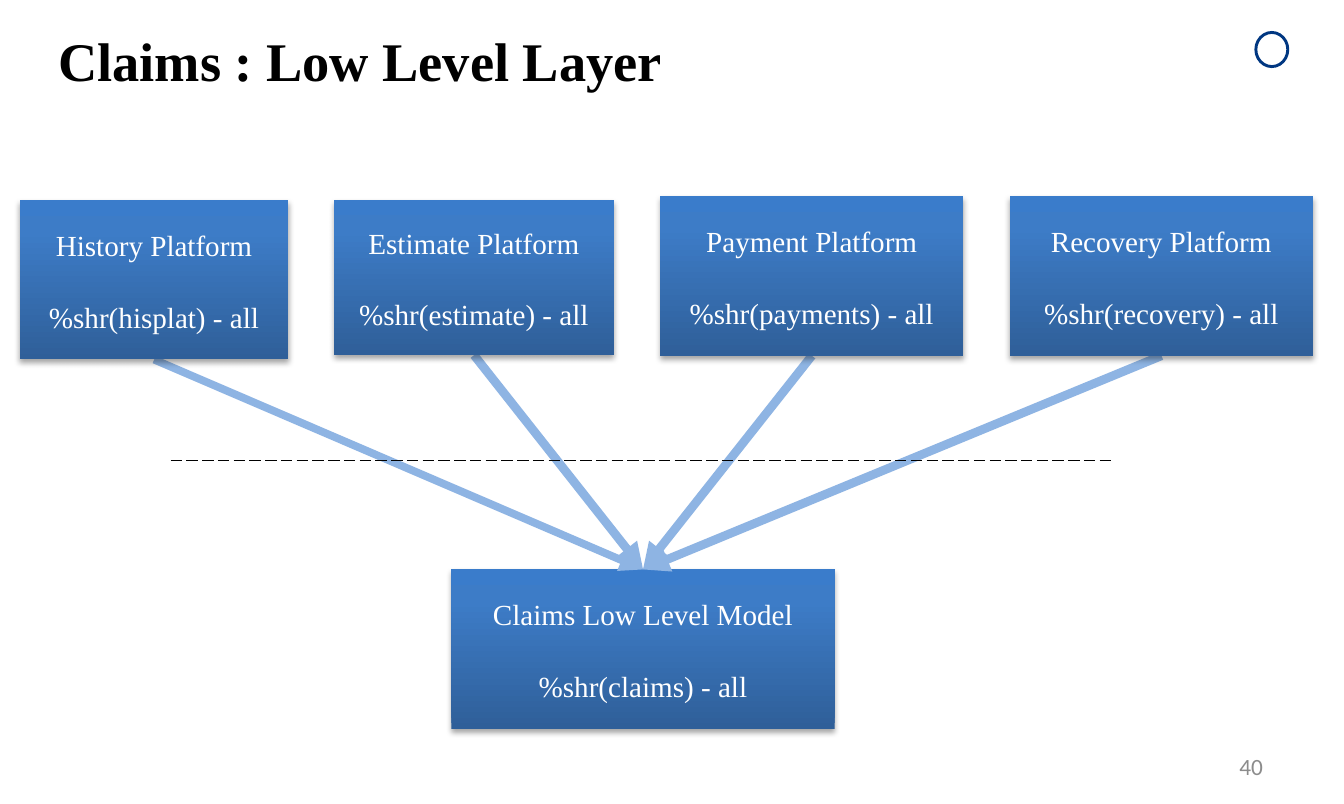
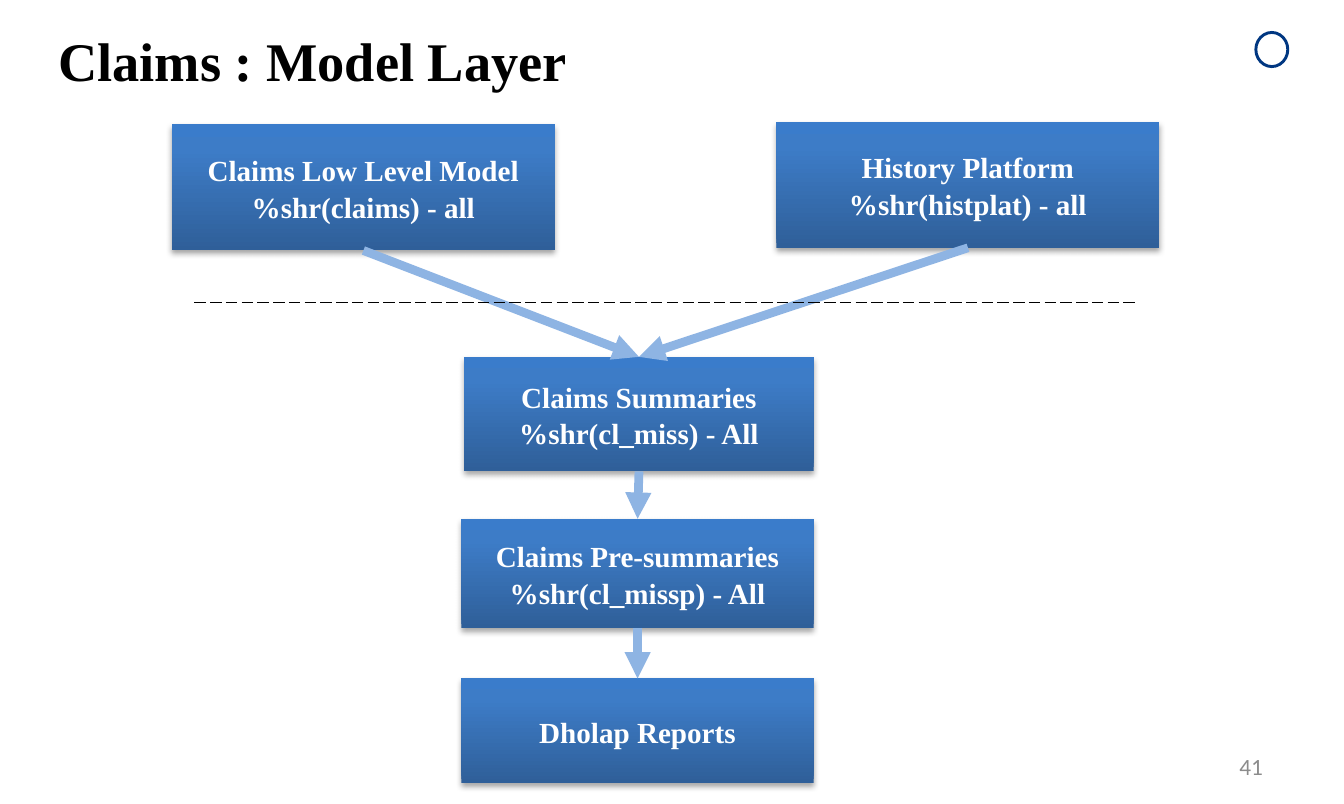
from lxml import etree
from pptx import Presentation
from pptx.dml.color import RGBColor
from pptx.enum import dml, shapes, text
from pptx.oxml import ns, parse_xml
from pptx.util import Cm, Pt

COLORS = {
    "title": "000000",
    "number": "8C8C8C",
    "emblem": "003781",
    "label": "FFFFFF",
    "arrow": "8EB4E3",
    "divider": "000000",
    "shadow": "000000",
    "box_bottom": "2F5F99",
    "box_middle": "3D7CC7",
    "box_top": "3A7CCB",
}
SERIF, SANS = "Times New Roman", "Calibri"
BOX_STOPS = [(0, "box_bottom"), (80, "box_middle"), (100, "box_top")]
TOP_SITE, BOTTOM_SITE = 0, 2
DIVIDER_LENGTH = 17.15

SLIDES = [
    {
        "title": "Claims : Low Level Layer",
        "number": "40",
        "bold": False,
        "line_gap": 18,
        "boxes": {
            "model": (["Claims Low Level Model", "%shr(claims) - all"], (8.2, 10.34, 6.96, 2.9)),
            "history": (["History Platform", "%shr(hisplat) - all"], (0.36, 3.63, 4.88, 2.9)),
            "estimate": (["Estimate Platform", "%shr(estimate) - all"], (6.07, 3.63, 5.08, 2.82)),
            "payment": (["Payment Platform", "%shr(payments) - all"], (11.99, 3.56, 5.51, 2.9)),
            "recovery": (["Recovery Platform", "%shr(recovery) - all"], (18.34, 3.56, 5.51, 2.9)),
        },
        "arrows": [
            ("history", "model", 4),
            ("estimate", "model", 4.5),
            ("payment", "model", 4.5),
            ("recovery", "model", 4.5),
        ],
        "sources_in_front": True,
        "divider": (3.1, 8.36),
    },
    {
        "title": "Claims : Model Layer",
        "number": "41",
        "bold": True,
        "line_gap": 0,
        "boxes": {
            "model": (["Claims Low Level Model", "%shr(claims) - all"], (3.12, 2.26, 6.96, 2.29)),
            "history": (["History Platform", "%shr(histplat) - all"], (14.1, 2.21, 6.96, 2.29)),
            "summaries": (["Claims Summaries", "%shr(cl_miss) - All"], (8.43, 6.48, 6.35, 2.08)),
            "presummaries": (["Claims Pre-summaries", "%shr(cl_missp) - All"], (8.38, 9.42, 6.4, 1.98)),
            "reports": (["Dholap Reports"], (8.38, 12.32, 6.4, 1.9)),
        },
        "arrows": [
            ("model", "summaries", 4.5),
            ("history", "summaries", 4.5),
            ("summaries", "presummaries", 4.5),
            ("presummaries", "reports", 4.5),
        ],
        "sources_in_front": False,
        "divider": (3.53, 5.49),
    },
]


def rgb(role):
    return RGBColor.from_string(COLORS[role])


def add_run(paragraph, words, font, size, role, bold=False):
    run = paragraph.add_run()
    run.text = words
    run.font.name = font
    run.font.size = Pt(size)
    run.font.bold = bold
    run.font.color.rgb = rgb(role)


def add_caption(slide, words, place, anchor, align, *style):
    caption = slide.shapes.add_textbox(*map(Cm, place))
    frame = caption.text_frame
    frame.word_wrap = True
    frame.vertical_anchor = anchor
    frame.paragraphs[0].alignment = align
    add_run(frame.paragraphs[0], words, *style)


def add_frame(slide, title, number):
    emblem = slide.shapes.add_shape(
        shapes.MSO_SHAPE.OVAL, Cm(22.81), Cm(0.59), Cm(0.58), Cm(0.62))
    emblem.shadow.inherit = False
    emblem.fill.background()
    emblem.line.color.rgb = rgb("emblem")
    emblem.line.width = Pt(1.5)
    add_caption(slide, number, (21.79, 13.54, 1.4, 0.76), text.MSO_ANCHOR.MIDDLE,
                text.PP_ALIGN.RIGHT, SANS, 12, "number")
    add_caption(slide, title, (0.81, 0.36, 13.08, 1.45), text.MSO_ANCHOR.TOP,
                text.PP_ALIGN.LEFT, SERIF, 28, "title", True)


def style_box(box):
    box.shadow.inherit = False
    box.line.fill.background()
    box.fill.background()
    properties = box._element.spPr
    stops = "".join(
        f'<a:gs pos="{position * 1000}"><a:srgbClr val="{COLORS[role]}"/></a:gs>'
        for position, role in BOX_STOPS)
    gradient = parse_xml(
        f'<a:gradFill {ns.nsdecls("a")} rotWithShape="1"><a:gsLst>{stops}</a:gsLst>'
        '<a:lin ang="16200000" scaled="0"/></a:gradFill>')
    properties.replace(properties.find(ns.qn("a:noFill")), gradient)
    properties.find(ns.qn("a:effectLst")).append(parse_xml(
        f'<a:outerShdw {ns.nsdecls("a")} blurRad="{Pt(3.1)}" dist="{Pt(1.8)}" '
        f'dir="5400000" rotWithShape="0"><a:srgbClr val="{COLORS["shadow"]}">'
        '<a:alpha val="35000"/></a:srgbClr></a:outerShdw>'))


def add_box(slide, lines, place, bold, line_gap):
    box = slide.shapes.add_shape(shapes.MSO_SHAPE.RECTANGLE, *map(Cm, place))
    style_box(box)
    frame = box.text_frame
    frame.word_wrap = True
    frame.vertical_anchor = text.MSO_ANCHOR.MIDDLE
    for index, words in enumerate(lines):
        paragraph = frame.add_paragraph() if index else frame.paragraphs[0]
        paragraph.alignment = text.PP_ALIGN.CENTER
        paragraph.line_spacing = 1.05
        paragraph.space_before = Pt(line_gap if index else 0)
        add_run(paragraph, words, SERIF, 15, "label", bold)
    return box


def add_line(slide, start, end, role, width):
    line = slide.shapes.add_connector(shapes.MSO_CONNECTOR.STRAIGHT, *start, *end)
    line.line.color.rgb = rgb(role)
    line.line.width = Pt(width)
    etree.SubElement(line._element.spPr, ns.qn("a:effectLst"))
    return line


def add_arrow(slide, source, target, width):
    arrow = add_line(slide, (0, 0), (0, 0), "arrow", width)
    arrow.begin_connect(source, BOTTOM_SITE)
    arrow.end_connect(target, TOP_SITE)
    etree.SubElement(arrow.line._get_or_add_ln(), ns.qn("a:tailEnd"), type="triangle")


def build_slide(deck, content):
    slide = deck.slides.add_slide(deck.slide_layouts[6])
    add_frame(slide, content["title"], content["number"])
    boxes = {
        key: add_box(slide, lines, place, content["bold"], content["line_gap"])
        for key, (lines, place) in content["boxes"].items()
    }
    for source, target, width in content["arrows"]:
        add_arrow(slide, boxes[source], boxes[target], width)
    if content["sources_in_front"]:
        for source, _, _ in content["arrows"]:
            slide.shapes._spTree.append(boxes[source]._element)
    left, top = content["divider"]
    divider = add_line(slide, (Cm(left), Cm(top)), (Cm(left + DIVIDER_LENGTH), Cm(top)),
                       "divider", 0.75)
    divider.line.dash_style = dml.MSO_LINE.LONG_DASH


def main():
    deck = Presentation()
    deck.slide_width, deck.slide_height = Cm(24.41), Cm(14.6)
    for content in SLIDES:
        build_slide(deck, content)
    deck.save("out.pptx")


if __name__ == "__main__":
    main()
